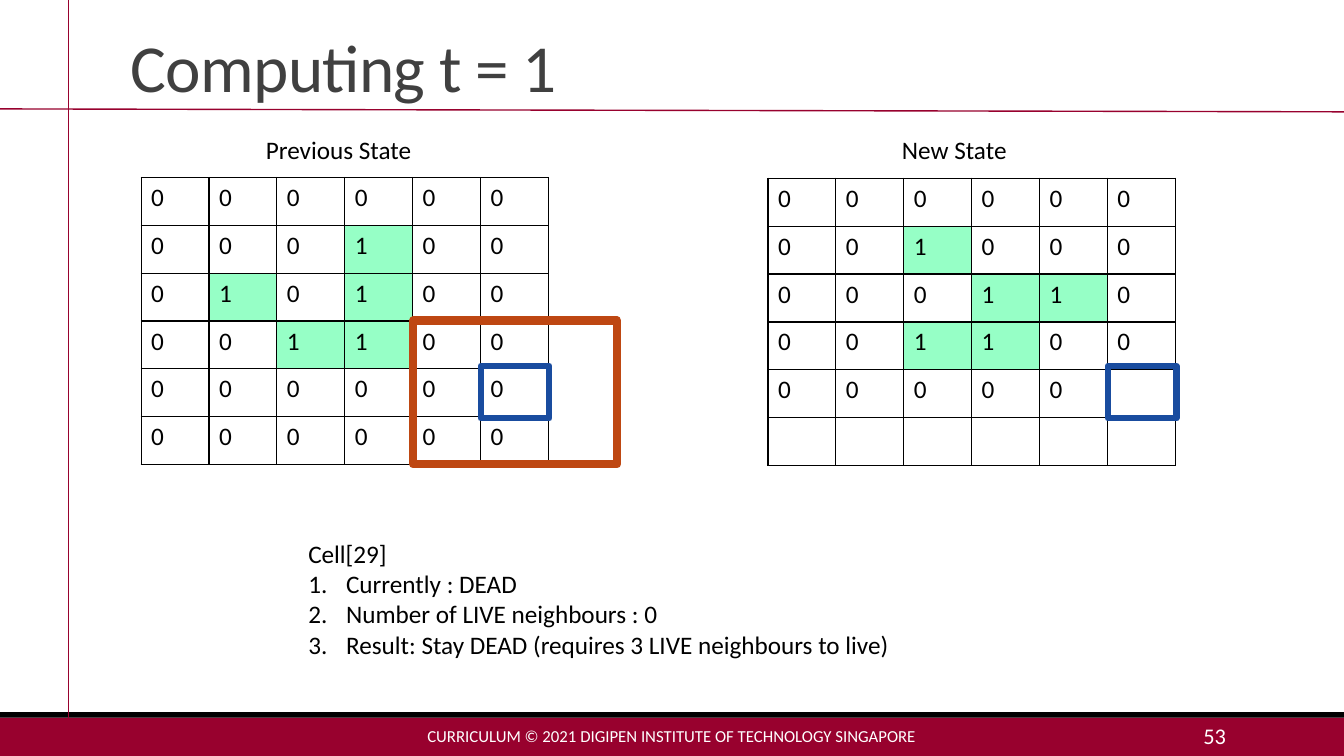
from lxml import etree
from pptx import Presentation
from pptx.dml.color import RGBColor
from pptx.enum import shapes, text
from pptx.oxml.ns import qn
from pptx.util import Pt

MAROON, BLACK, WHITE = "98012E", "000000", "FFFFFF"
LIVE, NEIGHBOURS, CURRENT = "96FFC6", "BE4712", "194C9F"
COLUMN, ROW = 48.5, 34.2


def color(value):
    return RGBColor.from_string(value)


def add_text(area, lines, size, ink, align=text.PP_ALIGN.LEFT, anchor=text.MSO_ANCHOR.TOP):
    """Add a text box at area (left, top, width, height) with one paragraph per line."""
    box = page.shapes.add_textbox(*map(Pt, area))
    frame = box.text_frame
    frame.word_wrap = True
    frame.vertical_anchor = anchor
    frame.text = "\n".join(lines)
    for para in frame.paragraphs:
        para.alignment = align
        for span in para.runs:
            span.font.size = Pt(size)
            span.font.name = "Calibri"
            span.font.color.rgb = color(ink)
    return frame


deck = Presentation()
deck.slide_width, deck.slide_height = Pt(960), Pt(540)
page = deck.slides.add_slide(deck.slide_layouts[6])

# Footer bars and ruled lines
for top, height, fill in ((512.6, 27.4, MAROON), (508.6, 4, BLACK)):
    bar = page.shapes.add_shape(shapes.MSO_SHAPE.RECTANGLE, 0, Pt(top), Pt(960), Pt(height))
    bar.shadow.inherit = False
    bar.fill.solid()
    bar.fill.fore_color.rgb = color(fill)
    bar.line.fill.background()

for ends in ((49, 0, 49, 512.6), (0, 77.8, 960, 79.9)):
    rule = page.shapes.add_connector(shapes.MSO_CONNECTOR.STRAIGHT, *map(Pt, ends))
    rule.line.color.rgb = color(MAROON)
    rule.line.width = Pt(1)
    etree.SubElement(rule._element.spPr, qn("a:effectLst"))

# Title and footer text
middle = text.MSO_ANCHOR.MIDDLE
title = add_text((86.4, 11.5, 792, 67.7), ["Computing t = 1"], 48, "404040",
                 anchor=text.MSO_ANCHOR.BOTTOM).paragraphs[0]
title.line_spacing = 0.85
title.runs[0].font._element.set("spc", "-50")
add_text((290.2, 511.2, 379.4, 28.8),
         ["CURRICULUM © 2021 DIGIPEN INSTITUTE OF TECHNOLOGY SINGAPORE"],
         12, WHITE, text.PP_ALIGN.CENTER, middle)
add_text((779.8, 511.2, 103, 28.8), ["53"], 16, WHITE, text.PP_ALIGN.RIGHT, middle)

# Cell grids: one string per row, a blank for a cell not yet computed
previous_state = ["000000", "000100", "010100", "001100", "000000", "000000"]
new_state = ["000000", "001000", "000110", "001100", "00000 ", "      "]
for label, label_left, left, top, state in (
    ("Previous State", 182.9, 100.8, 126.7, previous_state),
    ("New State", 637.2, 548.6, 127.4, new_state),
):
    add_text((label_left, 92.2, 126.7, 28.8), [label], 18, BLACK)
    grid = page.shapes.add_table(6, 6, Pt(left), Pt(top), Pt(6 * COLUMN), Pt(6 * ROW)).table
    grid.first_row = grid.horz_banding = False
    for column in grid.columns:
        column.width = Pt(COLUMN)
    for row, values in zip(grid.rows, state):
        row.height = Pt(ROW)
        for cell, value in zip(row.cells, values):
            cell.text = value.strip()
            font = cell.text_frame.paragraphs[0].font
            font.size = Pt(18)
            font.name = "Calibri"
            font.color.rgb = color(BLACK)
            borders = cell._tc.get_or_add_tcPr()
            for side in ("a:lnL", "a:lnR", "a:lnT", "a:lnB"):
                border = etree.SubElement(borders, qn(side), w=str(Pt(1)))
                paint = etree.SubElement(border, qn("a:solidFill"))
                etree.SubElement(paint, qn("a:srgbClr"), val=BLACK)
            cell.fill.solid()
            cell.fill.fore_color.rgb = color(LIVE if value == "1" else WHITE)

# Frames around the neighbourhood and the current cell
for left, top, width, height, ink, weight in (
    (295.2, 229, 3 * COLUMN, 3 * ROW, NEIGHBOURS, 6),
    (343.4, 261.4, 49, 37.4, CURRENT, 4.5),
    (791.3, 261.4, 49, 37.4, CURRENT, 4.5),
):
    outline = page.shapes.add_shape(shapes.MSO_SHAPE.RECTANGLE,
                                    Pt(left), Pt(top), Pt(width), Pt(height))
    outline.shadow.inherit = False
    outline.fill.background()
    outline.line.color.rgb = color(ink)
    outline.line.width = Pt(weight)

# Reasoning for the current cell
reasoning = add_text((213.1, 380.9, 550.8, 94.3), [
    "Cell[29]",
    "Currently : DEAD",
    "Number of LIVE neighbours : 0",
    "Result: Stay DEAD (requires 3 LIVE neighbours to live)",
], 18, BLACK)
for para in reasoning.paragraphs[1:]:
    properties = para._p.get_or_add_pPr()
    properties.set("marL", str(Pt(27)))
    properties.set("indent", str(Pt(-27)))
    etree.SubElement(properties, qn("a:buFont"), typeface="+mj-lt")
    etree.SubElement(properties, qn("a:buAutoNum"), type="arabicPeriod")

deck.save("out.pptx")
